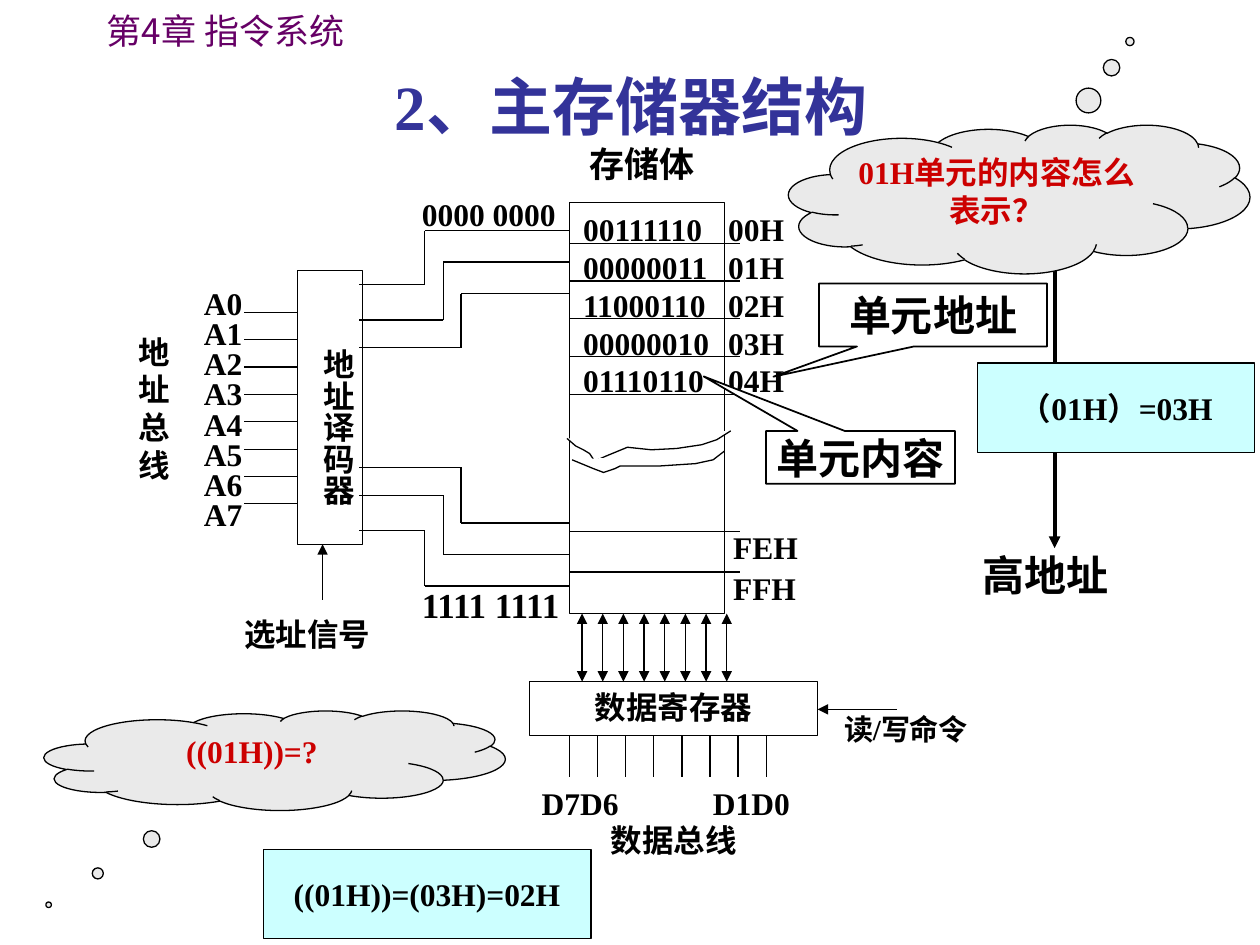
from dataclasses import dataclass
from itertools import pairwise

from lxml import etree
from pptx import Presentation
from pptx import util as u
from pptx.dml.color import RGBColor
from pptx.enum import shapes, text
from pptx.oxml.ns import qn

COLUMNS, ROWS = 100, 75
SLIDE_W, SLIDE_H = u.Inches(10), u.Inches(7.5)
CELL = SLIDE_W // COLUMNS  # grid cells are square
LEFT, CENTER = text.PP_ALIGN.LEFT, text.PP_ALIGN.CENTER
TOP, MIDDLE = text.MSO_ANCHOR.TOP, text.MSO_ANCHOR.MIDDLE
PRESET = shapes.MSO_SHAPE


@dataclass(frozen=True)
class Theme:
    ink: str = "000000"
    paper: str = "FFFFFF"
    title: str = "333399"
    chapter: str = "660066"
    question: str = "CC0000"
    cloud: str = "EAEAEA"
    answer: str = "CCFFFF"
    serif: str = "Times New Roman"
    sans: str = "Arial"
    chinese: str = "Noto Sans CJK SC"
    cabin: str = "Cabin"
    title_size: float = 36
    callout_size: float = 24
    label_size: float = 20
    body_size: float = 18
    command_size: float = 16.6
    thin: float = 0.75
    medium: float = 1
    thick: float = 2.25


T = Theme()


@dataclass(frozen=True)
class Box:
    """A region of the slide, in grid columns and rows."""
    x: float
    y: float
    w: float
    h: float

    def inner(self, x, y, w, h):
        return Box(self.x + x, self.y + y, w, h)

    def point(self, x, y):
        return cells(self.x + x), cells(self.y + y)

    def emu(self):
        return [cells(v) for v in (self.x, self.y, self.w, self.h)]


def cells(count):
    return u.Emu(round(count * CELL))


def rgb(color):
    return RGBColor.from_string(color)


def write(frame, lines, size=T.body_size, color=T.ink, font=T.serif, bold=True, align=LEFT,
          anchor=TOP, insets=(1, 0.5, 1, 0.5), spacing=None, tab=None, wrap=True):
    frame.word_wrap, frame.vertical_anchor = wrap, anchor
    (frame.margin_left, frame.margin_top,
     frame.margin_right, frame.margin_bottom) = map(cells, insets)
    frame.text = "\n".join(lines)
    for p in frame.paragraphs:
        p.alignment = align
        if spacing:
            p.line_spacing = spacing
        if tab:
            stops = etree.SubElement(p._p.get_or_add_pPr(), qn("a:tabLst"))
            etree.SubElement(stops, qn("a:tab"), pos=str(cells(tab)), algn="l")
        p.font.size, p.font.bold, p.font.name = u.Pt(size), bold, font
        p.font.color.rgb = rgb(color)


def label(slide, box, *lines, **style):
    write(slide.shapes.add_textbox(*box.emu()).text_frame, lines, **style)


def paint(shape, fill=T.paper, width=T.thin):
    shape.shadow.inherit = False
    shape.fill.solid()
    shape.fill.fore_color.rgb = rgb(fill)
    shape.line.color.rgb = rgb(T.ink)
    shape.line.width = u.Pt(width)


def block(slide, box, *lines, preset=PRESET.RECTANGLE, adjust=(), fill=T.paper,
          width=T.thin, **style):
    shape = slide.shapes.add_shape(preset, *box.emu())
    paint(shape, fill, width)
    for i, value in enumerate(adjust):
        shape.adjustments[i] = value
    if lines:
        write(shape.text_frame, lines, **{"align": CENTER, **style})
    return shape


def wire(slide, box, *points, width=T.thin, ends=()):
    """Join the points with straight lines; ends names the arrowheads."""
    for start, stop in pairwise(points):
        line = slide.shapes.add_connector(shapes.MSO_CONNECTOR.STRAIGHT,
                                          *box.point(*start), *box.point(*stop))
        line.line.color.rgb = rgb(T.ink)
        line.line.width = u.Pt(width)
        for end in ends:
            etree.SubElement(line.line._get_or_add_ln(), qn(f"a:{end}"), type="triangle")
        etree.SubElement(line._element.spPr, qn("a:effectLst"))


def headings(slide, box):
    label(slide, box.inner(7.5, 0.3, 30.7, 4.4), "第4章 指令系统", size=T.label_size,
          color=T.chapter, font=T.chinese, bold=False)
    title = slide.shapes.title
    title.left, title.top, title.width, title.height = box.inner(5.1, 4.4, 90, 7.9).emu()
    write(title.text_frame, ["2、主存储器结构"], size=T.title_size, color=T.title,
          align=CENTER, anchor=MIDDLE)


def address_axis(slide, box):
    label(slide, box.inner(0, 22.1, box.w, 5), "高地址", size=T.callout_size, font=T.sans)
    wire(slide, box, (6.7, 0), (6.7, 22.5), width=T.thick, ends=["tailEnd"])


def data_register(slide, box):
    block(slide, box.inner(0, 5.4, box.w, 4.3), "数据寄存器")
    for i in range(8):
        wire(slide, box, (4.2 + 1.64 * i, 0), (4.2 + 1.64 * i, 5.4), ends=["headEnd", "tailEnd"])
        wire(slide, box, (3.2 + 2.23 * i, 9.7), (3.2 + 2.23 * i, 13))
    # Data bus and read/write command
    label(slide, box.inner(0, 13, box.w, 3.5), "D7D6\tD1D0", tab=13.6)
    label(slide, box.inner(0, 16, box.w, 4), "数据总线", align=CENTER)
    wire(slide, box, (29.2, 7.6), (box.w, 7.6), ends=["tailEnd"])
    label(slide, box.inner(24, 7.6, 13.5, 4.3), "读/写命令", size=T.command_size, spacing=0.9)


def memory(slide, box):
    label(slide, box.inner(0.6, -5.3, 11.2, 4.4), "存储体", size=T.label_size)
    block(slide, box)
    for row in [3.2 + 3 * i for i in range(5)] + [26.1, 29.3]:
        wire(slide, box, (0, row), (13.5, row))
    # Torn edges of the omitted cells
    upper = [(-0.2, 18.7), (0.5, 19.3), (1.1, 19.6), (1.6, 19.9), (2, 20.5), (2.9, 20.1),
             (4.6, 19.4), (6.5, 19.6), (8.5, 19.5), (10.5, 19.2), (11.7, 18.8), (12.8, 18.1)]
    lower = [(0.2, 20.4), (1.9, 21.1), (2.7, 21.4), (3.6, 21.1), (4, 20.9),
             (7, 20.9), (10, 20.7), (11.4, 20.4), (12.3, 19.7)]
    for edge in (upper, lower):
        first, *others = [box.point(*p) for p in edge]
        tear = slide.shapes.build_freeform(*first)
        tear.add_line_segments(others, close=False)
        paint(tear.convert_to_shape())
    # Cell contents and addresses
    contents = ["00111110", "00000011", "11000110", "00000010", "01110110"]
    label(slide, box.inner(0.1, 0.1, 22.9, 16),
          *[f"{bits}\t{i:02X}H" for i, bits in enumerate(contents)], tab=11.5)
    label(slide, box.inner(12, 25, 9, 7.6), "FEH", "FFH", spacing=1.1)


def address_bus(slide, box):
    label(slide, box.inner(0, 4.4, 6.2, 13), "地址总线")
    label(slide, box.inner(5.2, 1.1, 5.2, 22.8), *[f"A{i}" for i in range(8)], spacing=0.8)
    for i in range(8):
        row = 3.3 + 2.17 * i
        wire(slide, box, (9.4, row), (13.6, row))
    # Decoder and its select signal
    decoder = block(slide, box.inner(13.6, 0, 5.2, 21.7), "地址译码器", align=LEFT,
                    insets=(0.5, 6.2, 0.5, 1))
    decoder.text_frame._txBody.bodyPr.set("vert", "eaVert")
    wire(slide, box, (15.6, 26.1), (15.6, 21.7), ends=["tailEnd"])
    label(slide, box.inner(8.4, 26.8, 13.5, 4.4), "选址信号")


def select_lines(slide, box):
    for bend, cell_row, decoder_row in [(8.1, 8.3, 12.6), (6.7, 5.8, 10.4), (5.2, 3.3, 7.6),
                                        (8.1, 26.5, 22.1), (6.7, 29, 24.3), (5.2, 31.5, 27.1)]:
        wire(slide, box, (box.w, cell_row), (bend, cell_row), (bend, decoder_row),
             (0, decoder_row))
    label(slide, box.inner(4, 0, 14.6, 4.1), "0000 0000")
    label(slide, box.inner(4, 30.8, 13.8, 4.4), "1111 1111", size=T.label_size)


def callout(slide, box, caption, adjust):
    block(slide, box, caption, preset=PRESET.RECTANGULAR_CALLOUT, adjust=adjust,
          width=T.medium, size=T.callout_size, anchor=MIDDLE, wrap=False)


def question(slide, box, opening, adjust, rest=""):
    cloud = block(slide, box, opening, preset=PRESET.CLOUD_CALLOUT, adjust=adjust,
                  fill=T.cloud, color=T.question, insets=(0, 0.5, 1, 0.5))
    if rest:
        ending = cloud.text_frame.paragraphs[0].add_run()
        ending.text, ending.font.name = rest, T.cabin


def answer(slide, box, result):
    block(slide, box, result, fill=T.answer, anchor=MIDDLE, wrap=False)


def main():
    deck = Presentation()
    deck.slide_width, deck.slide_height = SLIDE_W, SLIDE_H
    slide = deck.slides.add_slide(deck.slide_layouts[5])
    headings(slide, Box(0, 0, COLUMNS, ROWS))
    address_axis(slide, Box(77, 21, 17.1, 27.1))
    data_register(slide, Box(42, 48.7, 22.9, 20))
    memory(slide, Box(45.2, 16.1, 12.3, 32.6))
    address_bus(slide, Box(10, 21.5, 18.8, 31.2))
    select_lines(slide, Box(28.5, 15, 16.7, 35))
    callout(slide, Box(65, 22.5, 18.1, 5), "单元地址", (-0.7, 0.98))
    callout(slide, Box(60.8, 34.2, 15, 4.2), "单元内容", (-0.83, -1.53))
    question(slide, Box(3.5, 56.4, 36.6, 7.9), "((01H))=?", (-0.49, 1.45))
    answer(slide, Box(77.6, 28.8, 22, 7.1), "（01H）=03H")
    question(slide, Box(62.6, 9.9, 36.6, 11.8), "01H", (0.24, -1.06), "单元的内容怎么表示？")
    answer(slide, Box(20.9, 67.4, 26, 7.1), "((01H))=(03H)=02H")
    deck.save("out.pptx")


if __name__ == "__main__":
    main()
